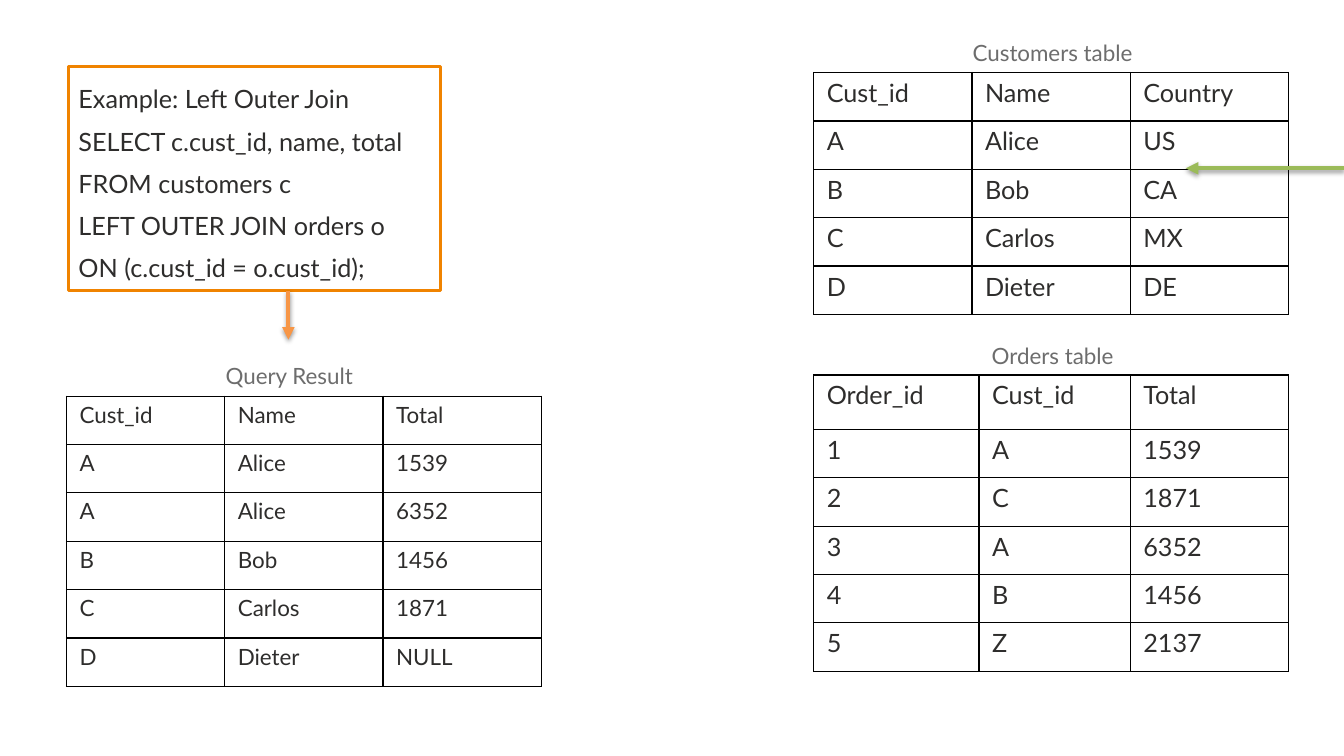
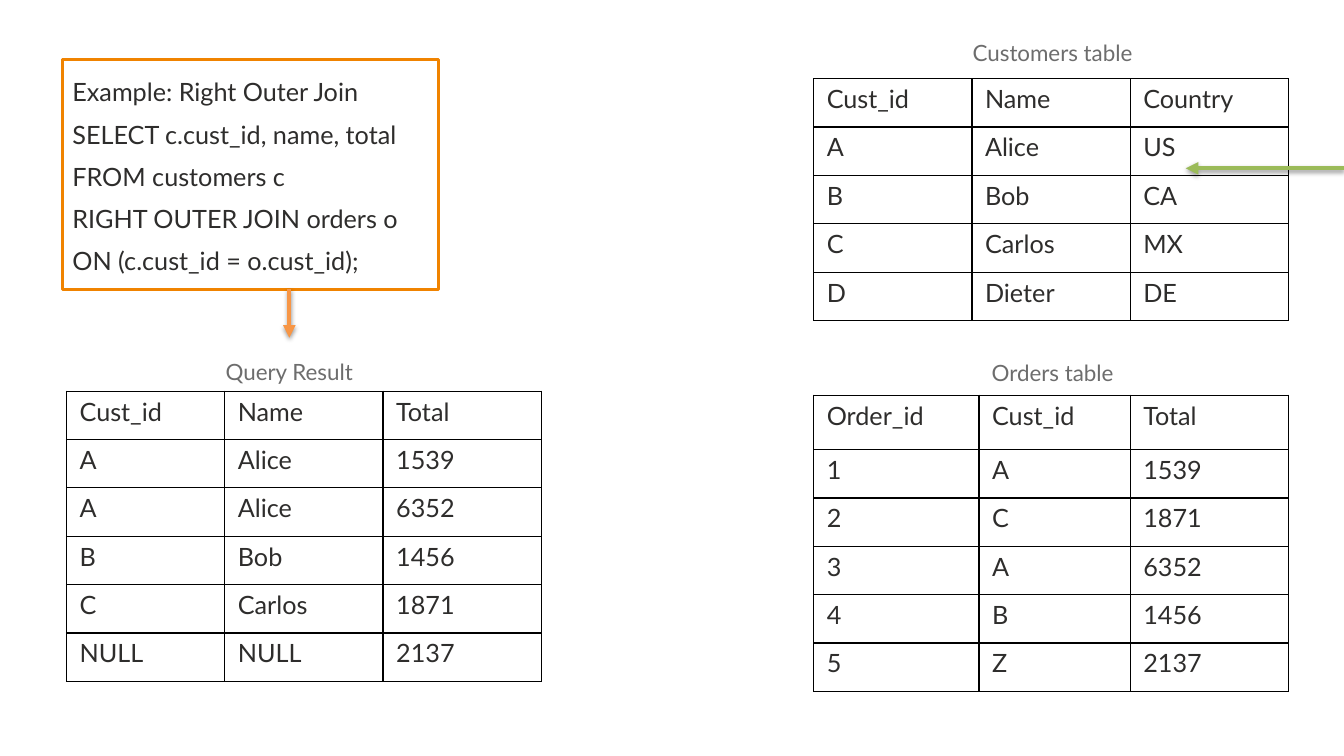
"""Build two slides that explain left and right outer joins with sample tables."""
from lxml.etree import SubElement
from pptx import Presentation
from pptx.dml.color import RGBColor as Color
from pptx.enum.shapes import MSO_CONNECTOR as Connector, MSO_SHAPE as Shape
from pptx.enum.text import MSO_ANCHOR as Anchor, PP_ALIGN as Align
from pptx.oxml import parse_xml
from pptx.oxml.ns import nsdecls, qn
from pptx.util import Inches, Pt

COLORS = {
    "paper": "FFFFFF",
    "text": "2E2D2C",
    "caption": "6D6D6D",
    "query": "F08300",
    "result": "F79646",
    "match": "9BBB59",
    "grid": "000000",
}
SLIDE_WIDTH = 13.33
ROW_HEIGHT = 0.48
RIGHT, LEFT = 8.07, 0.66
EVEN_COLUMNS = (1.57, 1.57, 1.57)
ORDER_COLUMNS = (1.64, 1.5, 1.57)

CUSTOMERS = [
    ("Cust_id", "Name", "Country"),
    ("A", "Alice", "US"),
    ("B", "Bob", "CA"),
    ("C", "Carlos", "MX"),
    ("D", "Dieter", "DE"),
]
ORDERS = [
    ("Order_id", "Cust_id", "Total"),
    ("1", "A", "1539"),
    ("2", "C", "1871"),
    ("3", "A", "6352"),
    ("4", "B", "1456"),
    ("5", "Z", "2137"),
]
MATCHES = [
    ("Cust_id", "Name", "Total"),
    ("A", "Alice", "1539"),
    ("A", "Alice", "6352"),
    ("B", "Bob", "1456"),
    ("C", "Carlos", "1871"),
]
JOINS = [
    {
        "side": "Left",
        "query_box": (0.68, 0.66, 3.69, 2.22),
        "arrow": (2.86, 2.89),
        "customers_top": 0.72,
        "orders_caption": 3.33,
        "orders_top": 3.72,
        "result_caption": 3.53,
        "result_top": 3.93,
        "result_size": 16,
        "unmatched": ("D", "Dieter", "NULL"),
    },
    {
        "side": "Right",
        "query_box": (0.62, 0.59, 3.73, 2.28),
        "arrow": (2.87, 2.87),
        "customers_top": 0.78,
        "orders_caption": 3.5,
        "orders_top": 3.92,
        "result_caption": 3.49,
        "result_top": 3.88,
        "result_size": 18,
        "unmatched": ("NULL", "NULL", "2137"),
    },
]


def color(name):
    return Color.from_string(COLORS[name])


def set_format(target, values):
    for name, value in values.items():
        setattr(target, name, value)


def set_margins(target, side, edge):
    set_format(target, {
        "margin_left": Inches(side), "margin_right": Inches(side),
        "margin_top": Inches(edge), "margin_bottom": Inches(edge),
    })


def write(para, text, size=18, tone="text", **layout):
    set_format(para, layout)
    span = para.add_run()
    span.text = text
    set_format(span.font, {"name": "Lato", "size": Pt(size), "bold": False})
    span.font.color.rgb = color(tone)


def add_query(page, bounds, lines):
    box = page.shapes.add_shape(Shape.RECTANGLE, *map(Inches, bounds))
    box.shadow.inherit = False
    box.fill.solid()
    box.fill.fore_color.rgb = color("paper")
    box.line.color.rgb = color("query")
    box.line.width = Pt(2)
    frame = box.text_frame
    set_format(frame, {"word_wrap": True, "vertical_anchor": Anchor.TOP})
    set_margins(frame, 0.1, 0.05)
    for index, line in enumerate(lines):
        para = frame.add_paragraph() if index else frame.paragraphs[0]
        write(para, line, alignment=Align.LEFT, line_spacing=1.4)


def add_caption(page, left, top, text):
    box = page.shapes.add_textbox(*map(Inches, (left, top, 3.88, 0.39)))
    frame = box.text_frame
    frame.word_wrap = True
    set_margins(frame, 0.13, 0.06)
    write(frame.paragraphs[0], text, 16, "caption", alignment=Align.CENTER)


def add_borders(cell):
    properties = cell._tc.get_or_add_tcPr()
    for side in ("lnL", "lnR", "lnT", "lnB"):
        line = SubElement(properties, qn(f"a:{side}"), w=str(Pt(1)))
        fill = SubElement(line, qn("a:solidFill"))
        SubElement(fill, qn("a:srgbClr"), val=COLORS["grid"])


def add_grid(page, left, top, rows, columns=EVEN_COLUMNS, size=18, header=ROW_HEIGHT):
    heights = [header] + [ROW_HEIGHT] * (len(rows) - 1)
    bounds = (left, top, sum(columns), sum(heights))
    table = page.shapes.add_table(len(rows), len(columns), *map(Inches, bounds)).table
    set_format(table, {"first_row": False, "horz_banding": False})
    for column, width in zip(table.columns, columns):
        column.width = Inches(width)
    for row, height, values in zip(table.rows, heights, rows):
        row.height = Inches(height)
        for cell, value in zip(row.cells, values):
            set_margins(cell, 0.13, 0.05)
            add_borders(cell)
            cell.fill.background()
            write(cell.text_frame.paragraphs[0], value, size)


def add_arrow(page, start, end, tone):
    arrow = page.shapes.add_connector(Connector.STRAIGHT, *map(Inches, start + end))
    arrow.line.color.rgb = color(tone)
    arrow.line.width = Pt(3)
    SubElement(arrow.line._get_or_add_ln(), qn("a:tailEnd"), type="triangle")
    arrow._element.spPr.append(parse_xml(
        f'<a:effectLst {nsdecls("a")}>'
        '<a:outerShdw blurRad="40000" dist="20000" dir="5400000" rotWithShape="0">'
        '<a:srgbClr val="000000"><a:alpha val="38000"/></a:srgbClr>'
        '</a:outerShdw></a:effectLst>'
    ))


def add_join(page, join):
    side = join["side"]
    add_query(page, join["query_box"], [
        f"Example: {side} Outer Join",
        "SELECT c.cust_id, name, total",
        "FROM customers c",
        f"{side.upper()} OUTER JOIN orders o",
        "ON (c.cust_id = o.cust_id);",
    ])
    add_grid(page, RIGHT, join["customers_top"], CUSTOMERS)
    add_grid(page, RIGHT, join["orders_top"], ORDERS, ORDER_COLUMNS, header=0.54)
    add_arrow(page, (SLIDE_WIDTH, 1.67), (11.76, 1.67), "match")
    add_caption(page, 8.5, 0.33, "Customers table")
    add_caption(page, 8.5, join["orders_caption"], "Orders table")
    add_caption(page, 0.93, join["result_caption"], "Query Result")
    add_grid(page, LEFT, join["result_top"], MATCHES + [join["unmatched"]],
             size=join["result_size"])
    left, top = join["arrow"]
    add_arrow(page, (left, top), (left, top + 0.48), "result")


def main():
    deck = Presentation()
    set_format(deck, {"slide_width": Inches(SLIDE_WIDTH), "slide_height": Inches(7.5)})
    for join in JOINS:
        add_join(deck.slides.add_slide(deck.slide_layouts[6]), join)
    deck.save("out.pptx")


if __name__ == "__main__":
    main()
